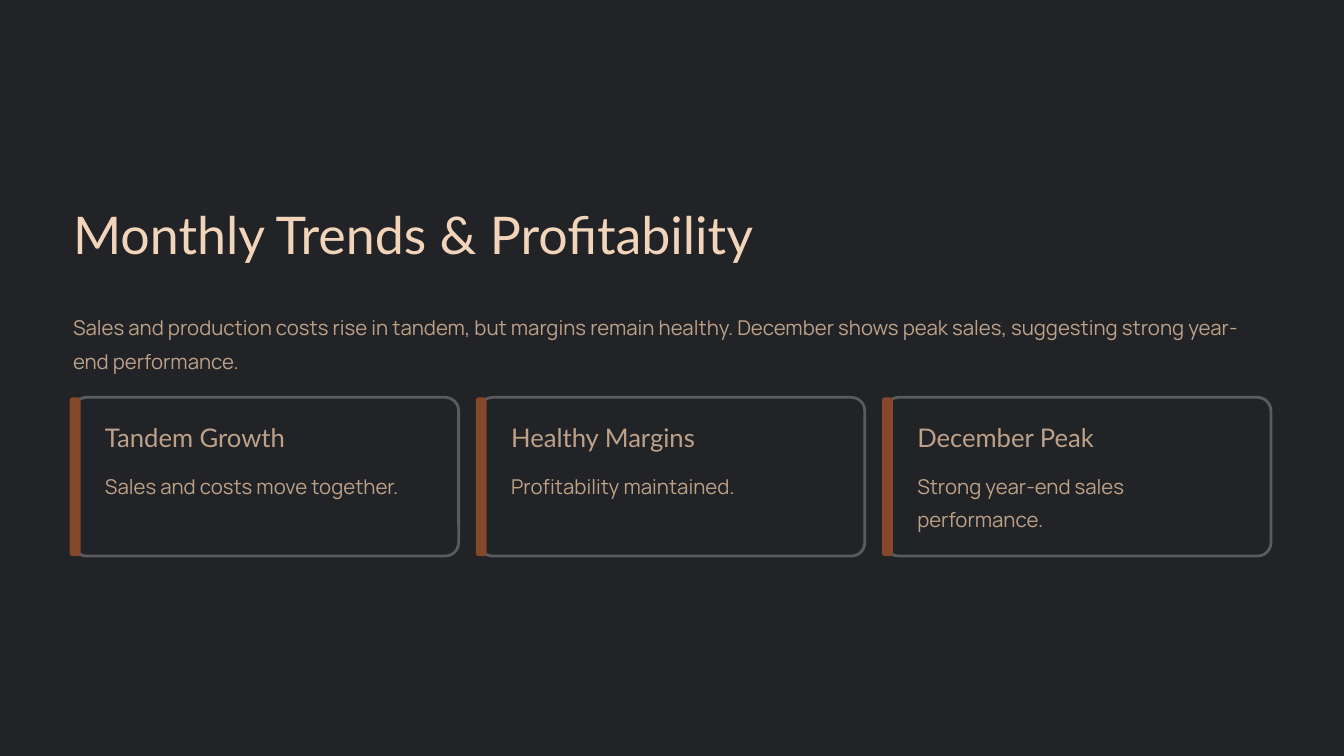
import pptx
import pptx.util
import pptx.dml.color
import pptx.enum.shapes
import pptx.enum.text

# Content
TITLE = "Monthly Trends & Profitability"
INTRO = ("Sales and production costs rise in tandem, but margins remain healthy. "
         "December shows peak sales, suggesting strong year-end performance.")
CARDS = [
    ("Tandem Growth", "Sales and costs move together."),
    ("Healthy Margins", "Profitability maintained."),
    ("December Peak", "Strong year-end sales performance."),
]


class Theme:
    back, edge, bar = "212326", "595B5E", "84482D"
    # font, size, line spacing, colour
    title = ("Lato", 44.5, 55.5, "F2D4BA")
    head = ("Lato", 22, 27.5, "BDA189")
    body = ("Manrope", 17.5, 28.5, "BDA189")


# Grid in inches
WIDE, HIGH = 16, 9
LEFT = 0.87
SPAN = WIDE - 2 * LEFT
GAP = 0.245
CARD_W = (SPAN - GAP * (len(CARDS) - 1)) / len(CARDS)
CARD_H = 1.89
CARD_TOP = 4.73
PAD = 0.38

inch = pptx.util.Inches
point = pptx.util.Pt
color = pptx.dml.color.RGBColor.from_string


def place(shape, left, top, width, height):
    shape.left, shape.top = inch(left), inch(top)
    shape.width, shape.height = inch(width), inch(height)


def write(shape, text, style, wrap=True):
    font, size, lead, ink = style
    frame = shape.text_frame
    frame.text = text
    frame.word_wrap = wrap
    frame.auto_size = pptx.enum.text.MSO_AUTO_SIZE.NONE
    frame.vertical_anchor = pptx.enum.text.MSO_ANCHOR.TOP
    frame.margin_left = frame.margin_right = 0
    frame.margin_top = frame.margin_bottom = 0
    para = frame.paragraphs[0]
    para.alignment = pptx.enum.text.PP_ALIGN.LEFT
    para.line_spacing = point(lead)
    face = para.runs[0].font
    face.name, face.size = font, point(size)
    face.color.rgb = color(ink)


def label(slide, text, style, left, top, width, height):
    box = slide.shapes.add_textbox(0, 0, 0, 0)
    place(box, left, top, width, height)
    write(box, text, style)


def panel(slide, left, width, fill, round_, edge=None):
    kind = pptx.enum.shapes.MSO_SHAPE.ROUNDED_RECTANGLE
    shape = slide.shapes.add_shape(kind, 0, 0, 0, 0)
    place(shape, left, CARD_TOP, width, CARD_H)
    shape.adjustments[0] = round_
    shape.shadow.inherit = False
    shape.fill.solid()
    shape.fill.fore_color.rgb = color(fill)
    if edge:
        shape.line.color.rgb = color(edge)
        shape.line.width = point(2.4)
    else:
        shape.line.fill.background()


def main():
    deck = pptx.Presentation()
    deck.slide_width, deck.slide_height = inch(WIDE), inch(HIGH)
    slide = deck.slides.add_slide(deck.slide_layouts[5])
    slide.background.fill.solid()
    slide.background.fill.fore_color.rgb = color(Theme.back)

    # Title and introduction
    title = slide.shapes.title
    place(title, LEFT, 2.38, 9.06, 0.78)
    write(title, TITLE, Theme.title, wrap=False)
    label(slide, INTRO, Theme.body, LEFT, 3.65, SPAN, 0.79)

    # Cards with an accent bar
    for col, (head, body) in enumerate(CARDS):
        left = LEFT + col * (CARD_W + GAP)
        panel(slide, left, CARD_W, Theme.back, 0.085, Theme.edge)
        panel(slide, left - 0.04, 0.13, Theme.bar, 0.279)
        label(slide, head, Theme.head, left + PAD, CARD_TOP + 0.28, 3.1, 0.39)
        label(slide, body, Theme.body, left + PAD, CARD_TOP + 0.81, 3.93, 0.79)

    deck.save("out.pptx")


if __name__ == "__main__":
    main()
